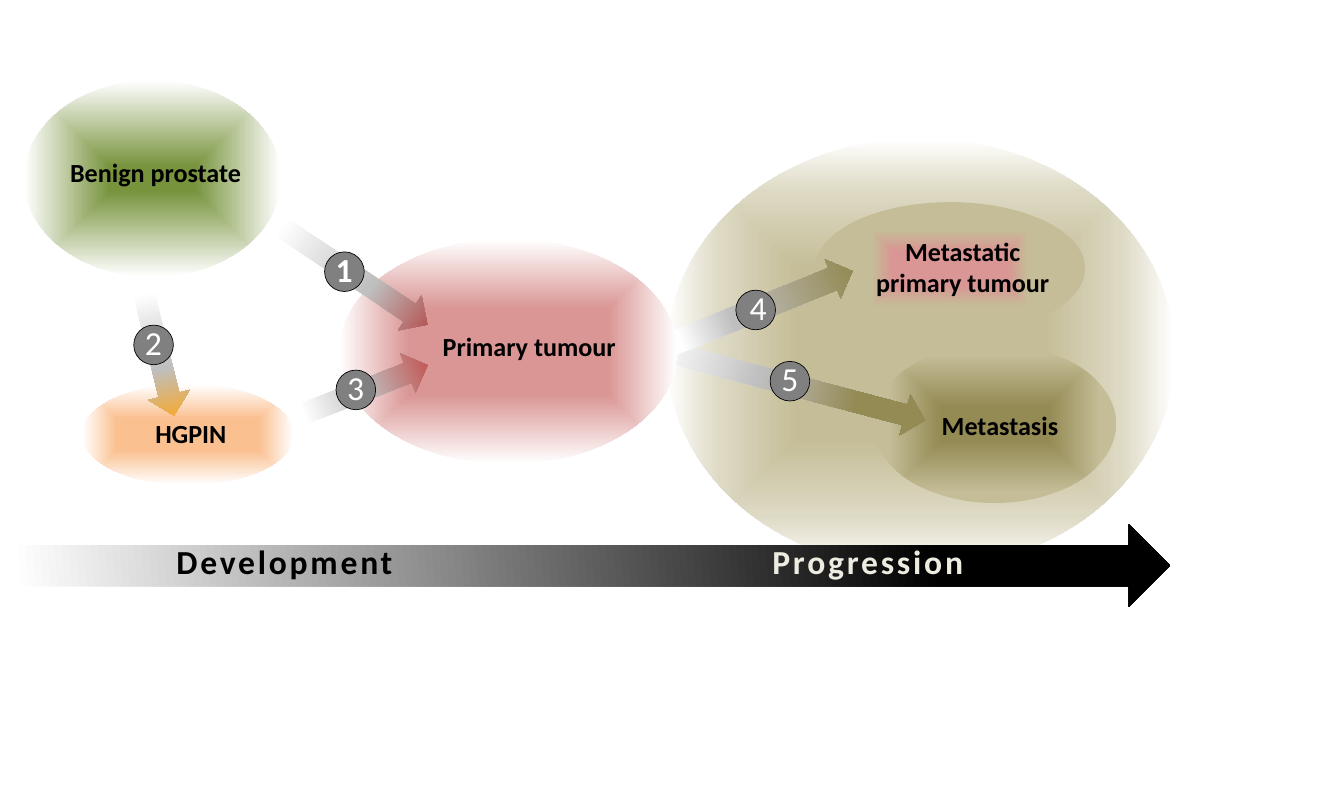
from pptx import Presentation, util as u
from pptx.dml.color import RGBColor
from pptx.enum import shapes, text
from pptx.oxml import parse_xml
from pptx.oxml.ns import nsdecls

FONT = "Calibri"
SHAFT = 0.63
BADGE = 0.59
LABEL_HEIGHT = 0.71
LABEL_INSETS = (0.1, 0, 0.1, 0.05)
WHITE, BLACK, GREY, SILVER = "FFFFFF", "000000", "808080", "BFBFBF"
ROSE, SAND, OLIVE = "D99694", "C4BD97", "948A54"

# Stages: left, top, width, height, stops. Steps: centre x, centre y, length, rotation, stops, shaft share.
FLOW = [
    ("stage", 9.92, 2.06, 7.56, 6.42, [(39, SAND), (75, "DDD9C3"), (100, WHITE)]),
    ("stage", 12.99, 5.13, 3.62, 2.36, [(21, OLIVE), (87, SAND)]),
    ("step", 11.85, 5.75, 3.97, 104.8, [(0, WHITE), (37, SILVER), (72, OLIVE)], 0.5),
    ("stage", 12.13, 3.01, 4.02, 1.97, [(26, ROSE), (58, SAND)]),
    ("step", 11.09, 4.68, 3.44, 68, [(23, WHITE), (45, SILVER), (95, OLIVE)], 0.56),
    ("stage", 5.05, 3.56, 5.03, 3.35, [(38, ROSE), (100, WHITE)]),
    ("step", 4.98, 5.98, 2.97, 68.6, [(35, WHITE), (64, SILVER), (99, "C24845")], 0.5),
    ("stage", 1.22, 5.72, 3.15, 1.5, [(31, "FAC090"), (100, WHITE)]),
    ("step", 2.28, 4.93, 2.59, 166.2, [(30, WHITE), (70, SILVER), (100, "FFA61B")], 0.5),
    ("step", 4.98, 3.91, 3.32, 123.8, [(25, WHITE), (67, SILVER), (99, "B2413F")], 0.5),
    ("stage", 0.36, 1.2, 3.82, 2.92, [(12, "77933C"), (100, WHITE)]),
]
STAGE_NAMES = [
    ("Metastatic primary tumour", 12.91, 3.64, 2.83),
    ("Metastasis", 13.62, 6, 2.52),
    ("Primary tumour", 6.46, 4.82, 2.83),
    ("HGPIN", 2.09, 6.12, 1.5),
    ("Benign prostate", 0.9, 2.23, 2.83),
]
TIMELINE = (0.24, 7.81, 17.17, 1.22)
PHASES = [("Development", 2.15, 4.17, BLACK), ("Progression", 10.71, 4.41, "EEECE1")]
BADGES = [
    ("1", 4.83, 3.75, 0.08, True),
    ("2", 1.99, 4.84, 0.08, False),
    ("5", 11.46, 5.38, 0.08, False),
    ("3", 5, 5.51, 0.08, False),
    ("4", 10.95, 4.32, 0.12, False),
]

deck = Presentation()
deck.slide_width, deck.slide_height = u.Inches(20), u.Inches(12)
slide = deck.slides.add_slide(deck.slide_layouts[6])


def colour(target, value):
    target.rgb = RGBColor.from_string(value)


def add_outline(preset, *box):
    outline = slide.shapes.add_shape(preset, *map(u.Inches, box))
    outline.shadow.inherit = False
    outline.line.fill.background()
    return outline


def fill_gradient(outline, stops, angle=None):
    marks = "".join(
        f'<a:gs pos="{share * 1000}"><a:srgbClr val="{value}"/></a:gs>' for share, value in stops)
    if angle is None:
        course = '<a:path path="shape"><a:fillToRect l="50000" t="50000" r="50000" b="50000"/></a:path>'
    else:
        course = f'<a:lin ang="{angle * 60000}" scaled="0"/>'
    outline._element.spPr.find("{*}prstGeom").addnext(parse_xml(
        f'<a:gradFill {nsdecls("a")} rotWithShape="1"><a:gsLst>{marks}</a:gsLst>{course}</a:gradFill>'))


def write(holder, words, size, value, bold, insets, anchor=text.MSO_ANCHOR.MIDDLE, spacing=0):
    frame = holder.text_frame
    frame.word_wrap = True
    frame.vertical_anchor = anchor
    frame.margin_left, frame.margin_top, frame.margin_right, frame.margin_bottom = map(u.Inches, insets)
    line = frame.paragraphs[0]
    line.text = words
    line.alignment = text.PP_ALIGN.CENTER
    line.font.name, line.font.size, line.font.bold = FONT, u.Pt(size), bold
    colour(line.font.color, value)
    if spacing:
        line.runs[0]._r.get_or_add_rPr().set("spc", str(spacing * 100))


def add_stage(left, top, width, height, stops):
    fill_gradient(add_outline(shapes.MSO_SHAPE.OVAL, left, top, width, height), stops)


def add_step(x, y, length, rotation, stops, shaft_share):
    step = add_outline(shapes.MSO_SHAPE.UP_ARROW, x - SHAFT / 2, y - length / 2, SHAFT, length)
    step.adjustments[0] = shaft_share
    step.rotation = rotation
    fill_gradient(step, stops, 270)


for kind, *details in FLOW:
    (add_stage if kind == "stage" else add_step)(*details)

timeline = add_outline(shapes.MSO_SHAPE.RIGHT_ARROW, *TIMELINE)
fill_gradient(timeline, [(0, WHITE), (80, BLACK)], 355)

for name, left, top, width in STAGE_NAMES:
    label = slide.shapes.add_textbox(*map(u.Inches, (left, top, width, LABEL_HEIGHT)))
    write(label, name, 28, BLACK, True, LABEL_INSETS)

for name, left, width, value in PHASES:
    label = slide.shapes.add_textbox(*map(u.Inches, (left, 8.05, width, 0.66)))
    write(label, name, 36, value, True, (0, 0, 0, 0.05), text.MSO_ANCHOR.TOP, 3)

for number, left, top, indent, bold in BADGES:
    badge = add_outline(shapes.MSO_SHAPE.OVAL, left, top, BADGE, BADGE)
    badge.fill.solid()
    colour(badge.fill.fore_color, GREY)
    colour(badge.line.color, BLACK)
    badge.line.width = u.Pt(0.75)
    write(badge, number, 36, WHITE, bold, (indent, 0, 0.1, 0.08))

deck.save("out.pptx")
